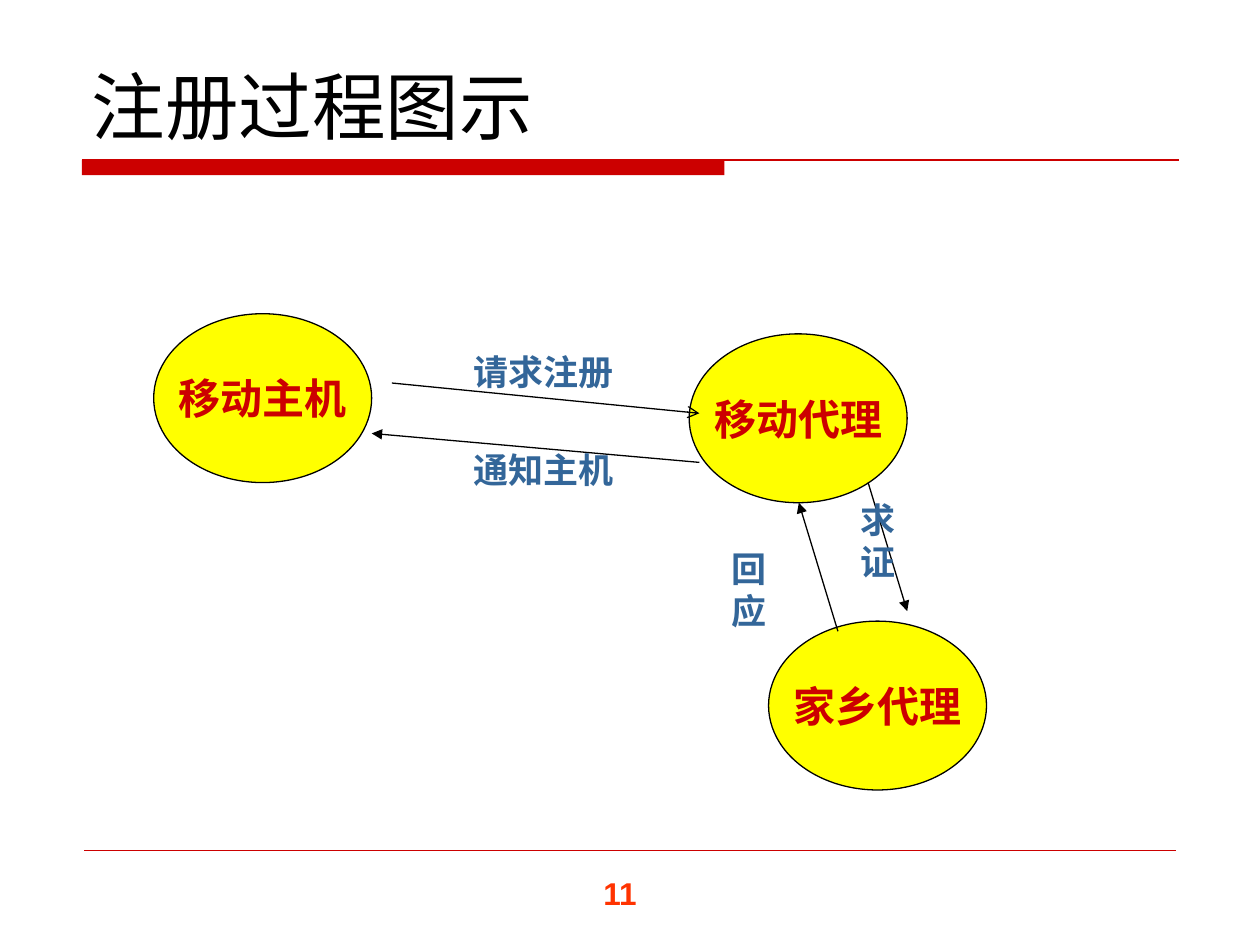
import pptx
import pptx.util
import pptx.dml.color
import pptx.enum.shapes
import pptx.enum.text
import pptx.oxml.ns
import lxml.etree

COLORS = {"red": "CC0000", "yellow": "FFFF00", "blue": "336699",
          "orange": "FF3300", "black": "000000"}
COLS, ROWS = 100, 75
ALIGN = pptx.enum.text.PP_ALIGN
ANCHOR = pptx.enum.text.MSO_ANCHOR
SHAPE = pptx.enum.shapes.MSO_SHAPE


class Deck:
    def __init__(self):
        self.prs = pptx.Presentation()
        self.prs.slide_width = pptx.util.Inches(10)
        self.prs.slide_height = pptx.util.Inches(7.5)
        self.s = self.prs.slides.add_slide(self.prs.slide_layouts[6])

    def grid(self, col, row):
        return (round(self.prs.slide_width * col / COLS),
                round(self.prs.slide_height * row / ROWS))

    def color(self, name):
        return pptx.dml.color.RGBColor.from_string(COLORS[name])

    def label(self, sp, text, size, color, font, bold=True, wrap=True,
              align=ALIGN.LEFT, anchor=ANCHOR.TOP):
        tf = sp.text_frame
        tf.word_wrap = wrap
        tf.vertical_anchor = anchor
        p = tf.paragraphs[0]
        p.alignment = align
        r = p.add_run()
        r.text = text
        r.font.size = pptx.util.Pt(size)
        r.font.name = font
        r.font.bold = bold
        r.font.color.rgb = self.color(color)

    def text(self, col, row, w, h, text, size, color, font, **style):
        sp = self.s.shapes.add_textbox(*self.grid(col, row), *self.grid(w, h))
        self.label(sp, text, size, color, font, **style)

    def shape(self, kind, col, row, w, h, fill, line=None):
        sp = self.s.shapes.add_shape(kind, *self.grid(col, row), *self.grid(w, h))
        sp.shadow.inherit = False
        sp.fill.solid()
        sp.fill.fore_color.rgb = self.color(fill)
        if line:
            sp.line.color.rgb = self.color(line)
            sp.line.width = pptx.util.Pt(0.74)
        else:
            sp.line.fill.background()
        return sp

    def node(self, col, row, text):
        sp = self.shape(SHAPE.OVAL, col, row, 17.3, 13.4, "yellow", "black")
        self.label(sp, text, 24, "red", "DejaVu Sans", wrap=False,
                   align=ALIGN.CENTER, anchor=ANCHOR.MIDDLE)

    def line(self, start, end, color="black", width=0.74, head=None):
        c = self.s.shapes.add_connector(pptx.enum.shapes.MSO_CONNECTOR.STRAIGHT,
                                        *self.grid(*start), *self.grid(*end))
        c.line.color.rgb = self.color(color)
        c.line.width = pptx.util.Pt(width)
        qn = pptx.oxml.ns.qn
        props = c._element.spPr
        if head:
            lxml.etree.SubElement(props.find(qn("a:ln")), qn("a:tailEnd"), type=head)
        lxml.etree.SubElement(props, qn("a:effectLst"))

    def message(self, start, end, head, col, row, width, text, wrap=False):
        self.line(start, end, head=head)
        self.text(col, row, width, 4.4, text, 20, "blue", "DejaVu Sans", wrap=wrap)


deck = Deck()
deck.shape(SHAPE.RECTANGLE, 6.5, 12.7, 51, 1.2, "red")
deck.line((6.5, 12.7), (93.6, 12.7), "red")
deck.line((6.7, 67.5), (93.3, 67.5), "red", 0.26)
deck.text(46.9, 68.9, 7.5, 4, "11", 18, "orange", "Arial")
deck.text(6.3, 3.3, 87.5, 9, "注册过程图示", 42, "black", "Comic Neue",
          bold=False, anchor=ANCHOR.BOTTOM)

for col, row, name in [(12.2, 24.9, "移动主机"),
                       (61, 49.3, "家乡代理"),
                       (54.7, 26.5, "移动代理")]:
    deck.node(col, row, name)

for message in [
    ((31.1, 30.4), (55.5, 32.8), "arrow", 36.6, 27.3, 15, "请求注册", True),
    ((55.5, 36.7), (29.5, 34.4), "triangle", 36.6, 35.1, 13.1, "通知主机"),
    ((68.9, 38.3), (72, 48.5), "triangle", 67.3, 39.1, 7.5, "求证"),
    ((66.5, 50.1), (63.4, 39.9), "triangle", 57.1, 43, 7.5, "回应"),
]:
    deck.message(*message)

deck.prs.save("out.pptx")
